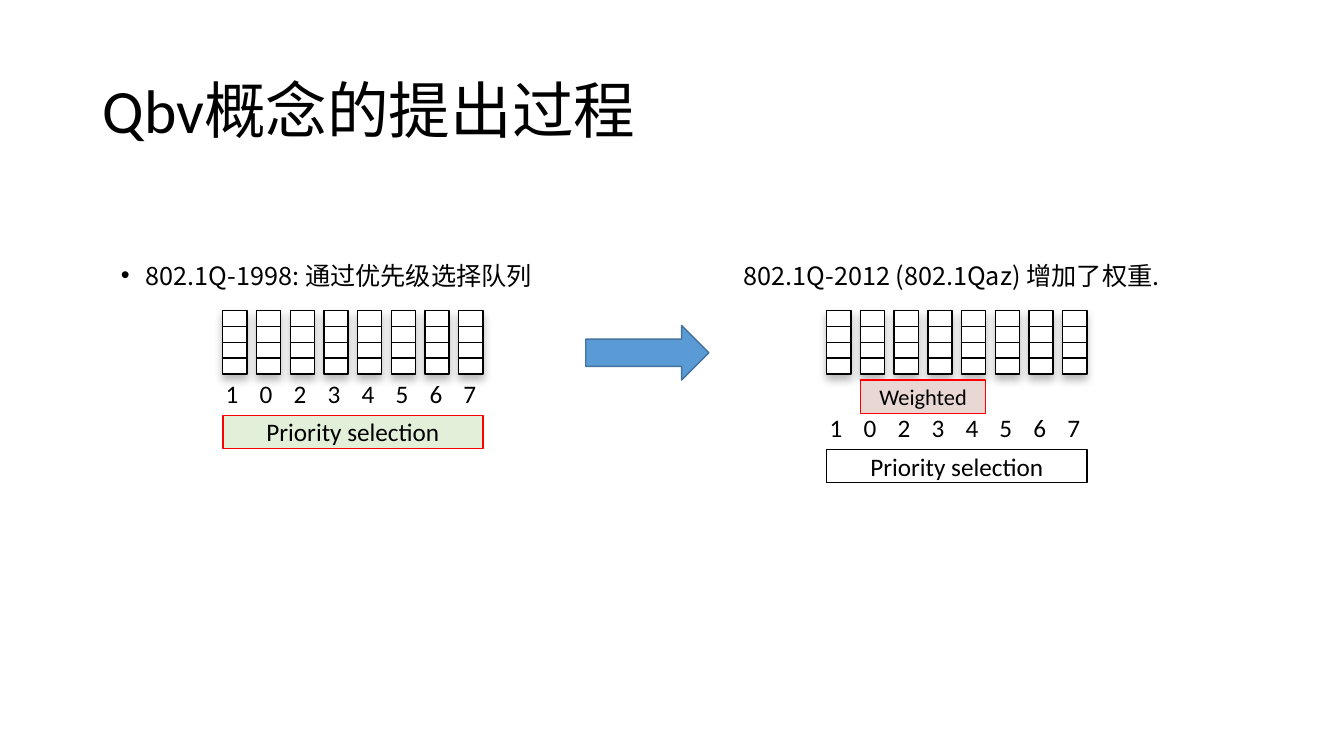
from lxml.etree import SubElement
from pptx import Presentation
from pptx.dml.color import RGBColor
from pptx.enum.shapes import MSO_CONNECTOR as Connector, MSO_SHAPE as Shape
from pptx.enum.text import MSO_ANCHOR as Anchor, MSO_AUTO_SIZE as AutoSize, PP_ALIGN as Align
from pptx.oxml.ns import qn
from pptx.util import Emu, Pt

PX = 9144  # 100 px to the inch
BLACK = RGBColor(0x00, 0x00, 0x00)
WHITE = RGBColor(0xFF, 0xFF, 0xFF)
RED = RGBColor(0xFF, 0x00, 0x00)
GREEN = RGBColor(0xE2, 0xF0, 0xD9)
PINK = RGBColor(0xE9, 0xD7, 0xD3)
BLUE = RGBColor(0x5B, 0x9B, 0xD5)
DARK_BLUE = RGBColor(0x43, 0x73, 0x9E)
LATIN, CJK = "Calibri", "Noto Sans CJK SC"

TITLE = "Qbv概念的提出过程"
PRIORITIES = ["1", "0", "2", "3", "4", "5", "6", "7"]
SELECTION = "Priority selection"
STAGES = [
    dict(heading="802.1Q-1998: 通过优先级选择队列", heading_box=(110, 250, 457, 231),
         bullet=True, left=221, labels_top=370, fill=GREEN, line=RED, weighted=None),
    dict(heading="802.1Q-2012 (802.1Qaz) 增加了权重.", heading_box=(728, 250, 449, 43),
         bullet=False, left=820, labels_top=404, fill=WHITE, line=BLACK, weighted="Weighted"),
]
WEIGHTED_QUEUES = (1, 4)
ARROW_BOX = (581, 323, 122, 54)

QUEUE_TOP, QUEUE_WIDTH, QUEUE_HEIGHT, CELLS = 308, 24, 63, 4
STAGE_WIDTH, BAR_HEIGHT = 258, 33
QUEUE_PITCH = (STAGE_WIDTH - QUEUE_WIDTH) / (len(PRIORITIES) - 1)
LABEL_WIDTH, LABEL_HEIGHT, LABEL_SHIFT, LABEL_PITCH = 34, 40, -7, 33.7
LABEL_TO_BAR, WEIGHTED_TOP = 42, 377


def emu(*lengths):
    return [Emu(round(length * PX)) for length in lengths]


def write(frame, text, size, font=LATIN):
    paragraph = frame.paragraphs[0]
    paragraph.text = text
    paragraph.font.size = Pt(size)
    paragraph.font.name = font
    paragraph.font.color.rgb = BLACK
    SubElement(paragraph.font._element, qn("a:ea"), typeface=CJK)
    return paragraph


def add_text(box, text, size, font=LATIN, wrap=False):
    frame = slide.shapes.add_textbox(*emu(*box)).text_frame
    frame.word_wrap = wrap
    frame.auto_size = AutoSize.NONE if wrap else AutoSize.SHAPE_TO_FIT_TEXT
    return write(frame, text, size, font)


def add_filled(shapes, kind, box, fill, line):
    shape = shapes.add_shape(kind, *emu(*box))
    shape.shadow.inherit = False
    shape.fill.solid()
    shape.fill.fore_color.rgb = fill
    shape.line.color.rgb = line
    shape.line.width = Pt(1)
    return shape


def add_bar(box, text, size, fill, line):
    frame = add_filled(slide.shapes, Shape.RECTANGLE, box, fill, line).text_frame
    frame.vertical_anchor = Anchor.MIDDLE
    frame.word_wrap = False
    write(frame, text, size).alignment = Align.CENTER


def drop_shadow(shape):
    effects = shape._element.spPr.find(qn("a:effectLst"))
    shadow = SubElement(effects, qn("a:outerShdw"), blurRad=str(Pt(6)), dist=str(Pt(4)),
                        dir="5400000", algn="t", rotWithShape="0")
    colour = SubElement(shadow, qn("a:srgbClr"), val=str(BLACK))
    SubElement(colour, qn("a:alpha"), val="27000")


def add_queue(left):
    """Draw one queue: a shadowed column split into equal cells."""
    group = slide.shapes.add_group_shape()
    column = add_filled(group.shapes, Shape.RECTANGLE,
                        (left, QUEUE_TOP, QUEUE_WIDTH, QUEUE_HEIGHT), WHITE, BLACK)
    drop_shadow(column)
    for cell in range(1, CELLS):
        y = QUEUE_TOP + cell * QUEUE_HEIGHT / CELLS
        divider = group.shapes.add_connector(
            Connector.STRAIGHT, *emu(left, y, left + QUEUE_WIDTH, y))
        divider.line.color.rgb = BLACK
        divider.line.width = Pt(1)
        SubElement(divider._element.spPr, qn("a:effectLst"))
        if cell * 2 == CELLS:
            divider.begin_connect(column, 1)
            divider.end_connect(column, 3)


def add_bullet(paragraph):
    paragraph.space_before = Pt(10)
    properties = paragraph._p.get_or_add_pPr()
    properties.set("marL", str(25 * PX))
    properties.set("indent", str(-25 * PX))
    bullet_font = properties.makeelement(qn("a:buFont"), {"typeface": "Arial"})
    bullet = properties.makeelement(qn("a:buChar"), {"char": "•"})
    defaults = properties.find(qn("a:defRPr"))
    defaults.addprevious(bullet_font)
    defaults.addprevious(bullet)


def add_stage(stage):
    left, labels_top = stage["left"], stage["labels_top"]
    heading = add_text(stage["heading_box"], stage["heading"], 18, CJK, wrap=stage["bullet"])
    heading.line_spacing = 1.1
    if stage["bullet"]:
        add_bullet(heading)
    for i, priority in enumerate(PRIORITIES):
        add_queue(left + i * QUEUE_PITCH)
        add_text((left + LABEL_SHIFT + i * LABEL_PITCH, labels_top, LABEL_WIDTH, LABEL_HEIGHT),
                 priority, 18)
    add_bar((left, labels_top + LABEL_TO_BAR, STAGE_WIDTH, BAR_HEIGHT),
            SELECTION, 18, stage["fill"], stage["line"])
    if stage["weighted"]:
        first, last = WEIGHTED_QUEUES
        width = (last - first) * QUEUE_PITCH + QUEUE_WIDTH
        add_bar((left + first * QUEUE_PITCH, WEIGHTED_TOP, width, BAR_HEIGHT),
                stage["weighted"], 16, PINK, RED)


deck = Presentation()
deck.slide_width, deck.slide_height = emu(1333, 750)
slide = deck.slides.add_slide(deck.slide_layouts[6])

title = add_text((92, 40, 1150, 145), TITLE, 44, wrap=True)
title.line_spacing = 0.9
slide.shapes[0].text_frame.vertical_anchor = Anchor.MIDDLE
for stage in STAGES:
    add_stage(stage)
add_filled(slide.shapes, Shape.RIGHT_ARROW, ARROW_BOX, BLUE, DARK_BLUE)

deck.save("out.pptx")
